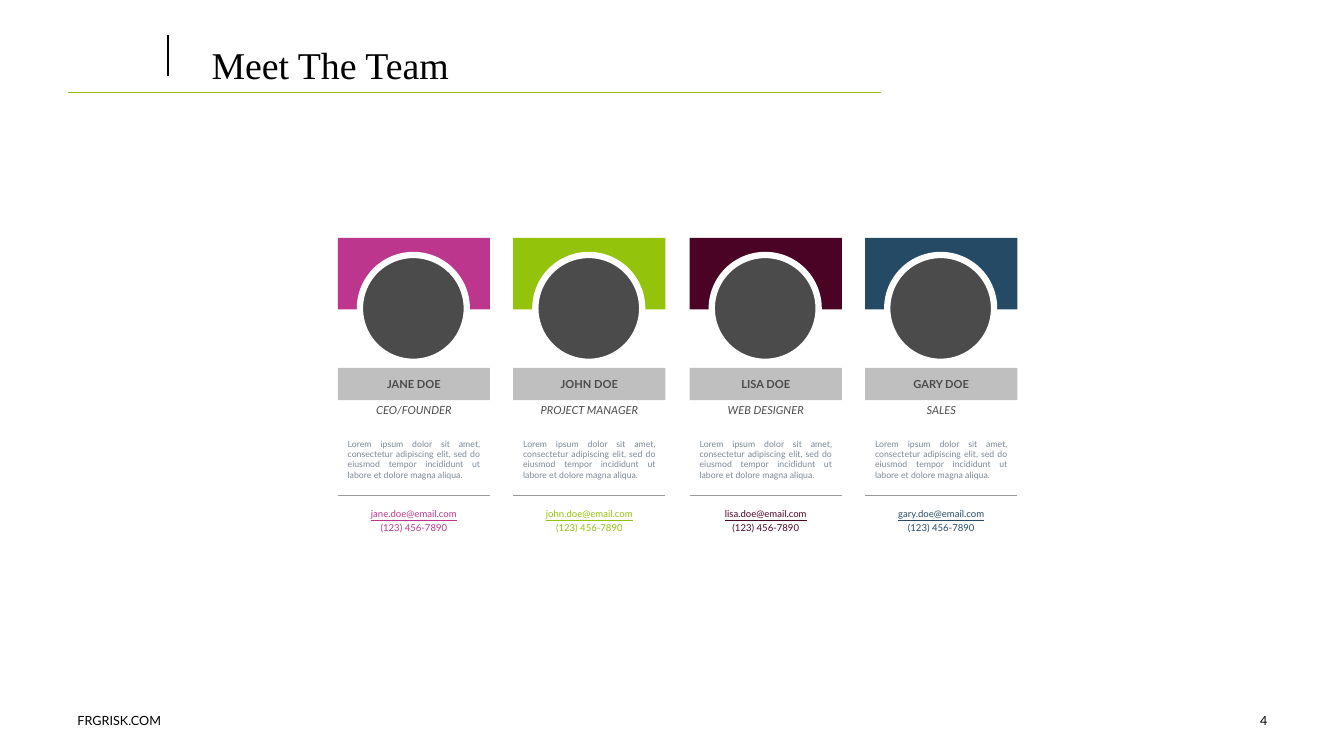
from lxml import etree
from pptx import Presentation
from pptx.dml.color import RGBColor
from pptx.enum.shapes import MSO_CONNECTOR, MSO_SHAPE
from pptx.enum.text import MSO_ANCHOR, PP_ALIGN
from pptx.oxml.ns import qn
from pptx.util import Pt

PX = 9144
LINE = MSO_CONNECTOR.STRAIGHT
RECT, OVAL = MSO_SHAPE.RECTANGLE, MSO_SHAPE.OVAL
TOP, MIDDLE, BOTTOM = MSO_ANCHOR.TOP, MSO_ANCHOR.MIDDLE, MSO_ANCHOR.BOTTOM
LEFT, CENTER, RIGHT, JUSTIFY = PP_ALIGN.LEFT, PP_ALIGN.CENTER, PP_ALIGN.RIGHT, PP_ALIGN.JUSTIFY

COLORS = {
    "black": "000000", "white": "FFFFFF", "dark": "4B4B4B", "body": "7B8898",
    "rule": "999999", "pink": "BD368D", "green": "93C30B", "plum": "4B0325", "blue": "244A66",
}
BIO = ("Lorem ipsum dolor sit amet, consectetur adipiscing elit, sed do eiusmod "
       "tempor incididunt ut labore et dolore magna aliqua.")
PHONE = "(123) 456-7890"
TEAM = [
    ("JANE DOE", "CEO/FOUNDER", "jane.doe@email.com", "pink"),
    ("JOHN DOE", "PROJECT MANAGER", "john.doe@email.com", "green"),
    ("LISA DOE", "WEB DESIGNER", "lisa.doe@email.com", "plum"),
    ("GARY DOE", "SALES", "gary.doe@email.com", "blue"),
]


def rgb(name):
    return RGBColor.from_string(COLORS[name])


def emu(*lengths):
    return [length * PX for length in lengths]


def write(sp, text, size, color, align=LEFT, anchor=MIDDLE, font="Lato"):
    tf = sp.text_frame
    tf.word_wrap = True
    tf.vertical_anchor = anchor
    p = tf.paragraphs[0]
    p.text = text
    p.alignment = align
    p.font.name = font
    p.font.size = Pt(size)
    p.font.color.rgb = rgb(color)
    return p


def add_text(shapes, box, *args, **style):
    return write(shapes.add_textbox(*emu(*box)), *args, **style)


def add_block(shapes, kind, box, color, outline=0):
    sp = shapes.add_shape(kind, *emu(*box))
    sp.shadow.inherit = False
    sp.fill.solid()
    sp.fill.fore_color.rgb = rgb(color)
    if outline:
        sp.line.color.rgb = rgb("white")
        sp.line.width = Pt(outline)
    else:
        sp.line.fill.background()
    return sp


def add_rule(shapes, x1, y1, x2, y2, color, width):
    line = shapes.add_connector(LINE, *emu(x1, y1, x2, y2))
    line.line.color.rgb = rgb(color)
    line.line.width = Pt(width)
    etree.SubElement(line._element.spPr, qn("a:effectLst"))


def set_alpha(sp, percent):
    color = sp._element.spPr.find(qn("a:solidFill"))[0]
    etree.SubElement(color, qn("a:alpha"), val=str(percent * 1000))


def add_header(shapes, x, y, w, h):
    add_rule(shapes, x, y + 57, x + 807, y + 57, "green", 0.5)
    add_rule(shapes, x + 100, y, x + 100, y + 40, "black", 1.5)
    p = add_text(shapes, (x + 133, y - 2, w - 133, h), "Meet The Team", 27, "black",
                 anchor=BOTTOM, font="Times New Roman")
    p.line_spacing = 0.8


def add_footer(shapes, x, y, w, h):
    add_text(shapes, (x, y, 422, h), "FRGRISK.COM", 9, "black")
    add_text(shapes, (x + w - 311, y, 311, h), "4", 9, "black", align=RIGHT)


def add_member(shapes, x, y, w, h, member):
    name, role, email, color = member
    s = shapes.add_group_shape().shapes
    photo = 106
    add_block(s, RECT, (x, y, w, h), "white")
    add_block(s, RECT, (x, y + 1, w, 71), color)
    add_block(s, OVAL, (x + (w - photo) // 2, y + 18, photo, photo), "dark", outline=4.5)
    banner = add_block(s, RECT, (x, y + 130, w, 32), "black")
    set_alpha(banner, 25)
    write(banner, name, 7.9, "dark", align=CENTER).font.bold = True
    add_text(s, (x, y + 163, w, 17), role, 7.9, "dark", align=CENTER).font.italic = True
    bio = add_text(s, (x, y + 195, w, 52), BIO, 6.2, "body", align=JUSTIFY, anchor=TOP)
    bio.space_after = Pt(6.8)
    add_rule(s, x, y + 256, x + w, y + 256, "rule", 0.5)
    contact = add_text(s, (x, y + 264, w, 21), email, 6.8, color, align=CENTER, anchor=TOP)
    contact.font.underline = True
    add_text(s, (x, y + 278, w, 21), PHONE, 6.8, color, align=CENTER, anchor=TOP)


def add_team(shapes, x, y, w, h):
    card = 151
    pitch = (w - card) / (len(TEAM) - 1)
    for i, member in enumerate(TEAM):
        add_member(shapes, x + round(i * pitch), y, card, h, member)


def main():
    prs = Presentation()
    prs.slide_width, prs.slide_height = emu(1333, 750)
    shapes = prs.slides.add_slide(prs.slide_layouts[6]).shapes
    add_header(shapes, 67, 35, 1200, 58)
    add_team(shapes, 335, 235, 674, 306)
    add_footer(shapes, 67, 695, 1200, 40)
    prs.save("out.pptx")


if __name__ == "__main__":
    main()
